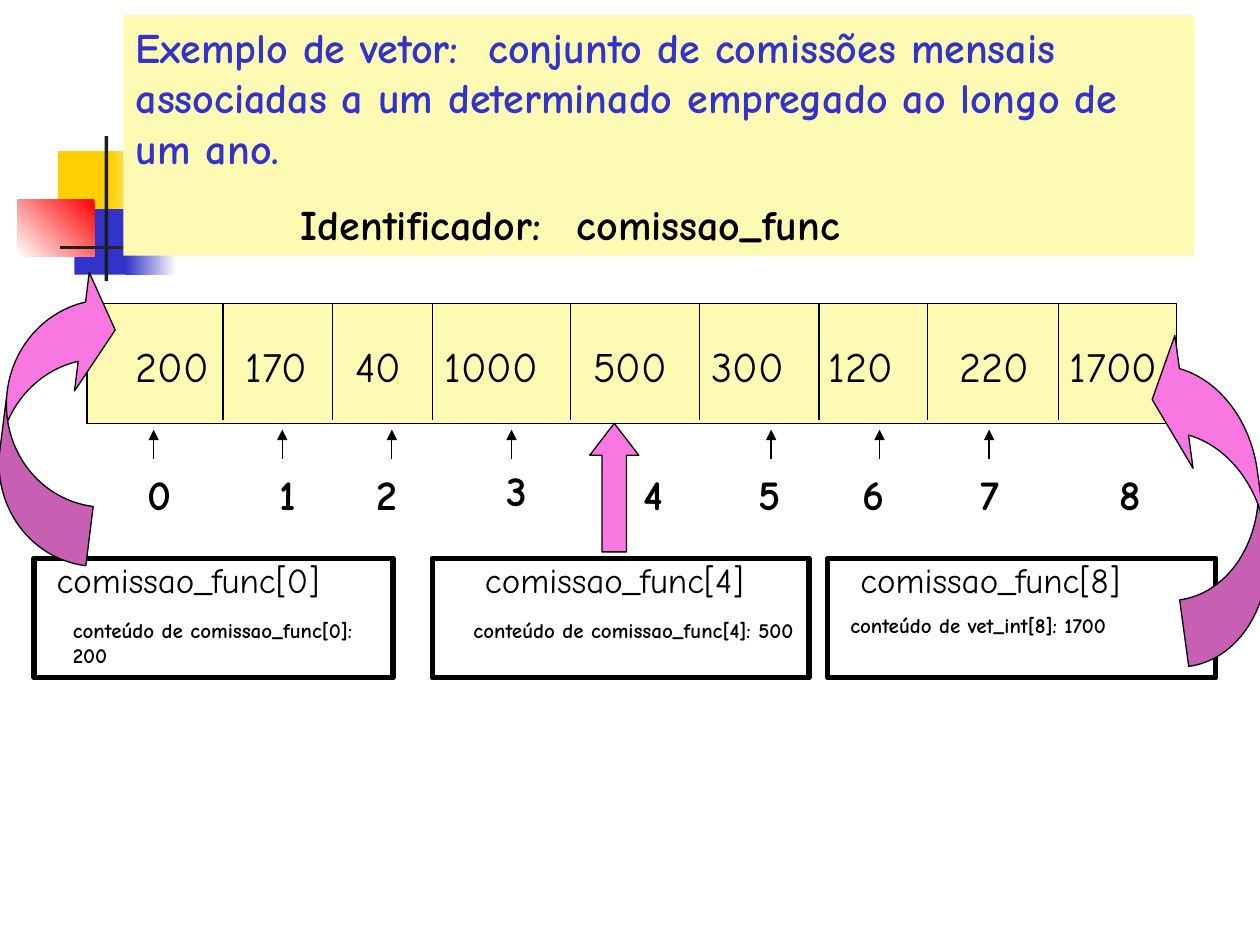
from lxml import etree
from pptx import Presentation
from pptx.dml.color import RGBColor
from pptx.enum.shapes import MSO_CONNECTOR, MSO_SHAPE
from pptx.oxml.ns import qn
from pptx.util import Inches, Pt

RECT = MSO_SHAPE.RECTANGLE
UP_ARROW = MSO_SHAPE.UP_ARROW
CURVED_LEFT = MSO_SHAPE.CURVED_LEFT_ARROW
CURVED_RIGHT = MSO_SHAPE.CURVED_RIGHT_ARROW
STRAIGHT = MSO_CONNECTOR.STRAIGHT

FONT = "Comic Neue"
COLORS = {
    "black": "000000", "white": "FFFFFF", "dark": "1C1C1C", "gold": "FFCF01",
    "blue": "3333CC", "red": "FF0000", "cream": "FDFBB3", "pink": "F977E0",
}


def rgb(name):
    return RGBColor.from_string(COLORS[name])


def add_block(slide, kind, box, fill=None, line=None, gradient=None):
    """Add a preset shape; fill is a colour, gradient is (start, end, angle)."""
    block = slide.shapes.add_shape(kind, *map(Inches, box))
    block.shadow.inherit = False
    if gradient:
        start, end, angle = gradient
        block.fill.gradient()
        block.fill.gradient_angle = angle
        for stop, color in zip(block.fill.gradient_stops, (start, end)):
            stop.color.rgb = rgb(color)
    elif fill:
        block.fill.solid()
        block.fill.fore_color.rgb = rgb(fill)
    else:
        block.fill.background()
    if line:
        block.line.color.rgb = rgb("black")
        block.line.width = Pt(line)
    else:
        block.line.fill.background()
    return block


def style(paragraph, size, color="black", bold=False, before=0):
    paragraph.space_before = Pt(before)
    for run in paragraph.runs:
        run.font.name = FONT
        run.font.size = Pt(size)
        run.font.bold = bold
        run.font.color.rgb = rgb(color)


def add_label(slide, box, text, size, bold=False, before=0, wrap=True):
    frame = slide.shapes.add_textbox(*map(Inches, box)).text_frame
    frame.word_wrap = wrap
    frame.text = text
    style(frame.paragraphs[0], size, bold=bold, before=before)


def add_line(slide, start, end, arrow=False):
    line = slide.shapes.add_connector(STRAIGHT, *map(Inches, start + end))
    line.line.color.rgb = rgb("black")
    line.line.width = Pt(0.75)
    if arrow:
        etree.SubElement(line.line._get_or_add_ln(), qn("a:tailEnd"), type="triangle")
    etree.SubElement(line._element.spPr, qn("a:effectLst"))


def add_ornament(slide, left, top):
    """Overlapping coloured squares with a thin cross."""
    parts = [
        ((0.32, 0.12, 0.48, 0.52), "gold", None),
        ((0.74, 0.12, 0.36, 0.52), None, ("white", "gold", 180)),
        ((0.45, 0.58, 0.46, 0.52), "blue", None),
        ((0.86, 0.58, 0.40, 0.52), None, ("white", "blue", 180)),
        ((0, 0.50, 0.61, 0.46), None, ("red", "white", 225)),
        ((0.69, 0, 0.03, 1.15), "dark", None),
        ((0.34, 0.87, 9, 0.03), None, ("white", "dark", 180)),
    ]
    for (x, y, width, height), fill, gradient in parts:
        add_block(slide, RECT, (left + x, top + y, width, height), fill, gradient=gradient)


def add_heading(slide, box):
    frame = add_block(slide, RECT, box, "cream").text_frame
    frame.word_wrap = True
    frame.text = (
        "Exemplo de vetor:  conjunto de comissões mensais associadas a um "
        "determinado empregado ao longo de um ano.\n"
        "Identificador:\tcomissao_func"
    )
    definition, identifier = frame.paragraphs
    for paragraph, color in ((definition, "blue"), (identifier, "black")):
        paragraph.alignment = 1
        style(paragraph, 24, color, bold=True, before=15)
    properties = identifier._p.get_or_add_pPr()
    properties.set("marL", "0")
    properties.set("indent", str(Inches(1.31)))
    tabs = etree.SubElement(properties, qn("a:tabLst"))
    etree.SubElement(tabs, qn("a:tab"), pos=str(Inches(3.7)), algn="l")


def add_vector(slide, box):
    """Row of cells, each with its value, and the indexes with arrows below."""
    left, top, width, height = box
    # value, its left and width; index left; pointer position (all from the row's left)
    cells = [
        ("200", 0.29, 0.88, 0.38, 0.53),
        ("170", 1.16, 0.78, 1.43, 1.55),
        ("40", 2.03, 0.77, 2.20, 2.42),
        ("1000", 2.74, 1.02, 3.23, 3.37),
        ("500", 3.92, 0.94, 4.32, None),
        ("300", 4.86, 0.86, 5.23, 5.43),
        ("120", 5.79, 0.80, 6.06, 6.29),
        ("220", 6.83, 0.88, 6.99, 7.16),
        ("1700", 7.70, 1.02, 8.10, None),
    ]
    dividers = [1.08, 1.95, 2.74, 3.84, 4.86, 5.81, 6.67, 7.71]

    add_block(slide, RECT, box, "cream", line=0.75)
    for x in dividers:
        add_line(slide, (left + x, top), (left + x, top + 0.92))
    for index, (value, value_x, value_width, index_x, pointer_x) in enumerate(cells):
        add_label(slide, (left + value_x, top + 0.24, value_width, 0.5), value, 24, before=15)
        index_y = top + (1.23 if index == 3 else 1.26)
        add_label(slide, (left + index_x, index_y, 0.36, 0.5), str(index), 24,
                  bold=True, wrap=False)
        if pointer_x is not None:
            x = left + pointer_x
            add_line(slide, (x, top + 1.23), (x, top + 1.0), arrow=True)


def add_access_box(slide, box, name, name_span, content, content_box):
    """Framed element name and content; spans are relative to the frame."""
    left, top, _, _ = box
    name_x, name_width = name_span
    content_x, content_y, content_width = content_box
    add_block(slide, RECT, box, line=3)
    add_label(slide, (left + name_x, top - 0.05, name_width, 0.44), name, 20, before=12.5)
    add_label(slide, (left + content_x, top + content_y, content_width, 0.3), content, 12,
              bold=True, before=7.5)


def add_pointer(slide, kind, box, adjustments, rotation=0):
    pointer = add_block(slide, kind, box, "pink", line=0.75)
    pointer.rotation = rotation
    for position, value in enumerate(adjustments):
        pointer.adjustments[position] = value


def main():
    presentation = Presentation()
    presentation.slide_width = Inches(10)
    presentation.slide_height = Inches(7.5)
    slide = presentation.slides.add_slide(presentation.slide_layouts[6])

    add_ornament(slide, 0.14, 1.08)
    add_heading(slide, (0.98, 0.12, 8.5, 1.91))
    add_vector(slide, (0.69, 2.41, 8.65, 0.95))
    add_access_box(slide, (0.27, 4.43, 2.85, 0.95), "comissao_func[0]", (0.08, 2.69),
                   "conteúdo de comissao_func[0]: 200", (0.21, 0.42, 2.64))
    add_access_box(slide, (3.43, 4.43, 2.99, 0.95), "comissao_func[4]", (0.32, 2.59),
                   "conteúdo de comissao_func[4]: 500", (0.23, 0.42, 2.84))
    add_access_box(slide, (6.57, 4.43, 3.08, 0.95), "comissao_func[8]", (0.16, 2.53),
                   "conteúdo de vet_int[8]: 1700", (0.08, 0.38, 2.76))
    add_pointer(slide, CURVED_LEFT, (0.04, 2.09, 0.79, 2.36), (0.6, 1.2, 0.33), 187.1)
    add_pointer(slide, UP_ARROW, (4.68, 3.36, 0.39, 1.02), (0.5, 0.65))
    add_pointer(slide, CURVED_RIGHT, (9.25, 2.58, 0.75, 2.67), (0.71, 1.42, 0.33), 172.2)

    presentation.save("out.pptx")


if __name__ == "__main__":
    main()
